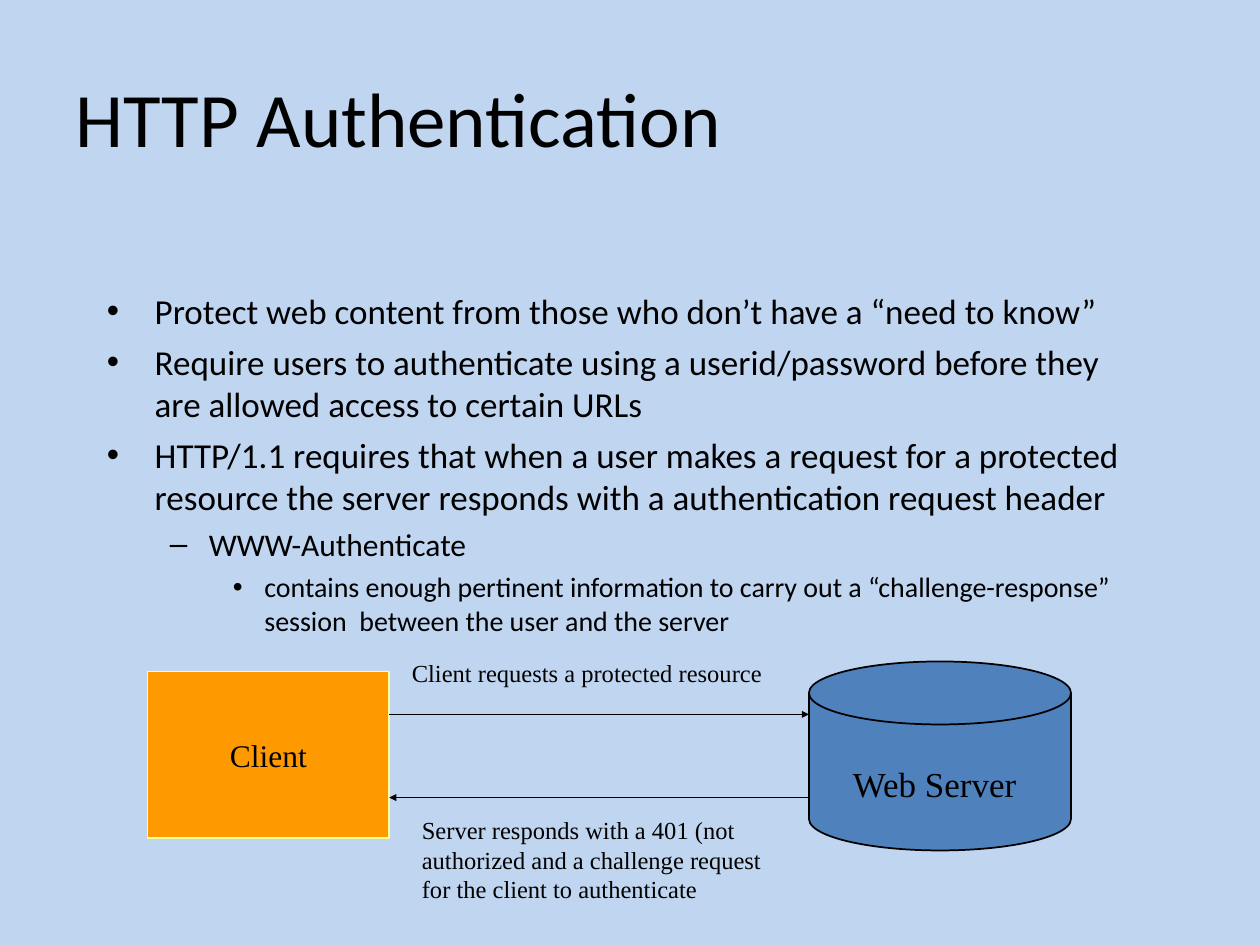
import pptx
import pptx.dml.color
import pptx.enum.shapes
import pptx.enum.text
import pptx.oxml
import pptx.oxml.ns
import pptx.util

SCALE = 9144  # EMU in one px, 100 px to the inch
KIND = pptx.enum.shapes.MSO_SHAPE
ANCHOR = pptx.enum.text.MSO_ANCHOR
ALIGN = pptx.enum.text.PP_ALIGN


class Theme:
    back, ink = "C0D5F0", "000000"
    disk, box, edge = "4F81BD", "FF9900", "FFFF99"
    sans, serif = "Calibri", "Times New Roman"
    title, server, client, note = 44, 20, 18, 14
    line = 1
    # Per level: type size, space before, left indent px, hanging px, bullet
    levels = [(20, 5, 38, 38, "•"), (18, 4.5, 81, 31, "–"), (16, 4, 125, 25, "•")]


POINTS = [
    (0, "Protect web content from those who don’t have a “need to know”"),
    (0, "Require users to authenticate using a userid/password before they are "
        "allowed access to certain URLs"),
    (0, "HTTP/1.1 requires that when a user makes a request for a protected "
        "resource the server responds with a authentication request header"),
    (1, "WWW-Authenticate"),
    (2, "contains enough pertinent information to carry out a “challenge-response” "
        "session  between the user and the server"),
]
REPLY = ["Server responds with a 401 (not", "authorized and a challenge request",
         "for the client to authenticate"]


def px(*sizes):
    return [pptx.util.Emu(size * SCALE) for size in sizes]


def rgb(code):
    return pptx.dml.color.RGBColor.from_string(code)


def apply(item, **values):
    for name, value in values.items():
        setattr(item, name, value)


def mark(node, **values):
    """Set XML attributes on a node."""
    for name, value in values.items():
        node.set(name, str(value))


def add_node(parent, tag, **values):
    node = pptx.oxml.parse_xml(f"<{tag} {pptx.oxml.ns.nsdecls('a')}/>")
    mark(node, **values)
    parent.append(node)
    return node


def write(frame, lines, face, size, align=ALIGN.LEFT, **format):
    """Fill a text frame with one paragraph for each line."""
    apply(frame, **{"word_wrap": True, **format})
    for num, line in enumerate(lines):
        para = frame.add_paragraph() if num else frame.paragraphs[0]
        para.alignment = align
        run = para.add_run()
        run.text = line
        apply(run.font, name=face, size=pptx.util.Pt(size))
        run.font.color.rgb = rgb(Theme.ink)


def label(slide, box, lines, face, size, **format):
    frame = slide.shapes.add_textbox(*px(*box)).text_frame
    write(frame, lines, face, size, **format)
    return frame


def block(slide, kind, box, fill, edge):
    shape = slide.shapes.add_shape(kind, *px(*box))
    shape.shadow.inherit = False
    shape.fill.solid()
    shape.fill.fore_color.rgb = rgb(fill)
    shape.line.color.rgb = rgb(edge)
    shape.line.width = pptx.util.Pt(Theme.line)
    return shape


def arrow(slide, start, end, y):
    straight = pptx.enum.shapes.MSO_CONNECTOR.STRAIGHT
    link = slide.shapes.add_connector(straight, *px(start, y, end, y))
    link.line.color.rgb = rgb(Theme.ink)
    link.line.width = pptx.util.Pt(Theme.line)
    add_node(link.line._get_or_add_ln(), "a:tailEnd",
             type="triangle", w="sm", len="sm")
    add_node(link._element.spPr, "a:effectLst")


def bullets(slide, box, points):
    frame = label(slide, box, [text for _, text in points],
                  Theme.sans, Theme.levels[0][0])
    for para, (level, _) in zip(frame.paragraphs, points):
        size, space, left, hang, sign = Theme.levels[level]
        apply(para, level=level, space_before=pptx.util.Pt(space))
        para.runs[0].font.size = pptx.util.Pt(size)
        props = para._p.get_or_add_pPr()
        mark(props, marL=left * SCALE, indent=-hang * SCALE)
        add_node(add_node(props, "a:buClr"), "a:srgbClr", val=Theme.ink)
        add_node(props, "a:buFont", typeface="Arial")
        add_node(props, "a:buChar", char=sign)


def exchange(slide, box):
    """Draw the client, the server and the messages between them."""
    x, y, wide, high = box
    near, far = x + 192, x + wide - 208
    block(slide, KIND.FLOWCHART_MAGNETIC_DISK, (far, y, 208, high),
          Theme.disk, Theme.ink)
    label(slide, (far + 25, y + 75, 158, 44), ["Web Server"],
          Theme.serif, Theme.server)
    client = block(slide, KIND.RECTANGLE, (x, y + 8, 192, 132),
                   Theme.box, Theme.edge)
    write(client.text_frame, ["Client"], Theme.serif, Theme.client,
          align=ALIGN.CENTER, vertical_anchor=ANCHOR.MIDDLE)
    arrow(slide, near, far, y + 42)
    label(slide, (near + 8, y - 8, 308, 34),
          ["Client requests a protected resource"], Theme.serif, Theme.note)
    arrow(slide, far, near, y + 108)
    label(slide, (near + 16, y + 117, 310, 80), REPLY, Theme.serif, Theme.note)


def main():
    deck = pptx.Presentation()
    deck.slide_width, deck.slide_height = px(1000, 750)
    slide = deck.slides.add_slide(deck.slide_layouts[6])
    slide.background.fill.solid()
    slide.background.fill.fore_color.rgb = rgb(Theme.back)
    label(slide, (50, 30, 900, 125), ["HTTP Authentication"],
          Theme.sans, Theme.title, vertical_anchor=ANCHOR.MIDDLE)
    bullets(slide, (75, 225, 850, 308), POINTS)
    exchange(slide, (117, 525, 733, 150))
    deck.save("out.pptx")


if __name__ == "__main__":
    main()
